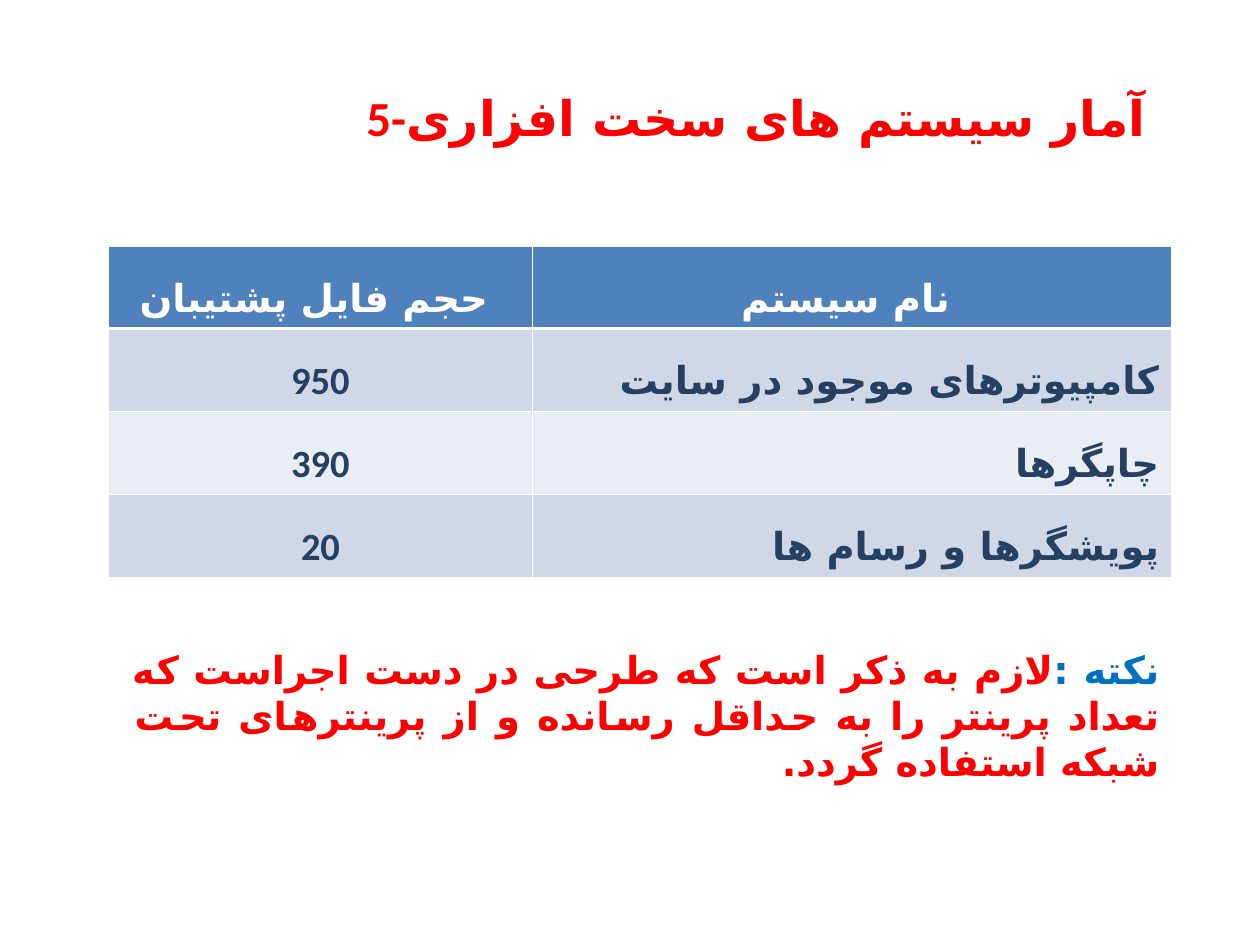
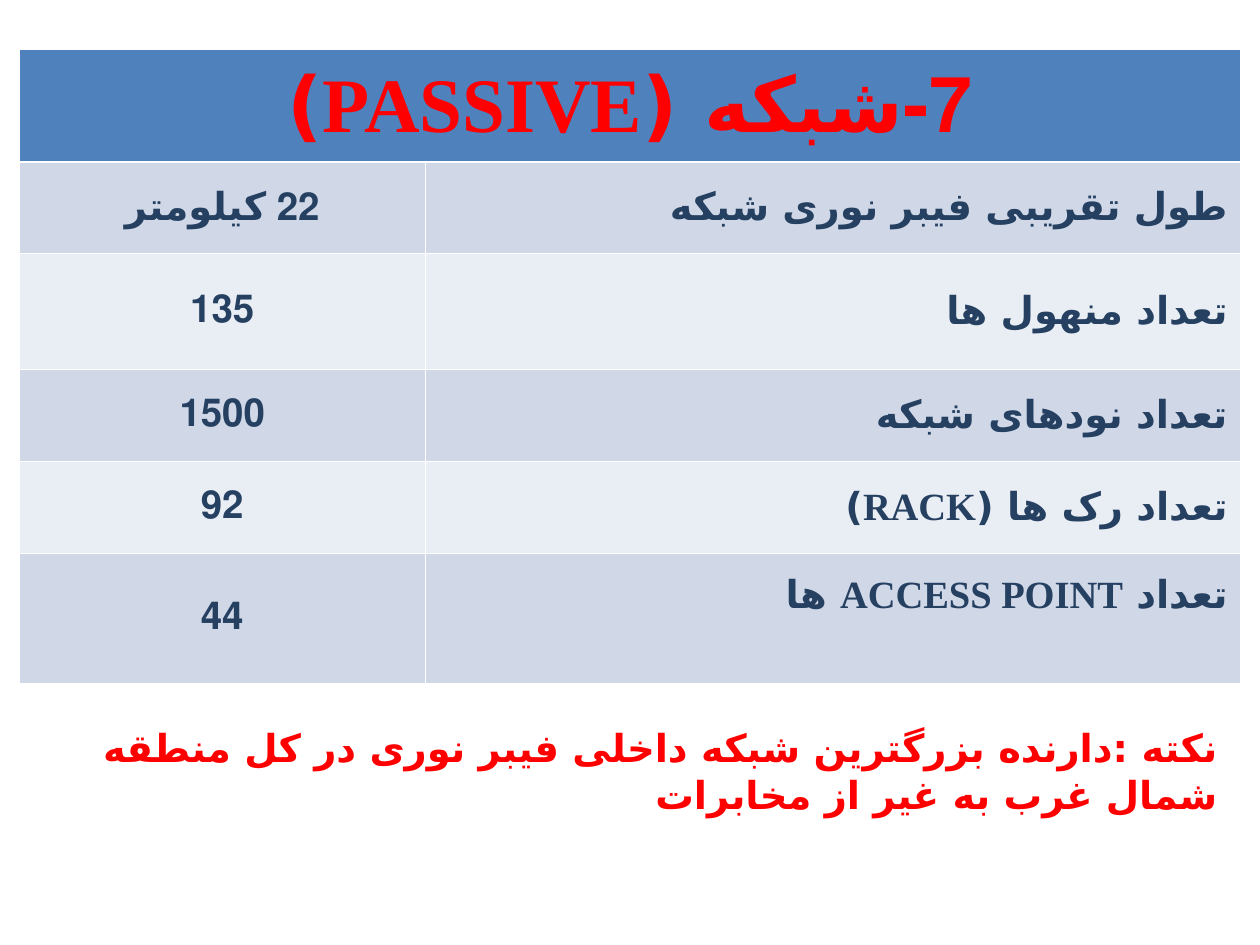
from dataclasses import dataclass

from lxml import etree
from pptx import Presentation
from pptx import util as u
from pptx.dml.color import RGBColor
from pptx.enum import lang, text
from pptx.oxml import ns

RED = RGBColor(0xFF, 0x00, 0x00)
BLUE = RGBColor(0x00, 0x70, 0xC0)
NAVY = RGBColor(0x25, 0x40, 0x61)
WHITE = RGBColor(0xFF, 0xFF, 0xFF)
HEADER_FILL = RGBColor(0x4F, 0x81, 0xBD)
BAND_FILLS = (RGBColor(0xD0, 0xD8, 0xE8), RGBColor(0xE9, 0xED, 0xF4))

BODY_FONT = "Calibri"
LATIN_FONT = "Times New Roman"
PERSIAN_FONT = "DejaVu Sans"
BODY_SIZE = 22
THIN, THICK = u.Pt(0.45), u.Pt(1.47)

CENTER = text.PP_ALIGN.CENTER
RIGHT = text.PP_ALIGN.RIGHT
JUSTIFY = text.PP_ALIGN.JUSTIFY


@dataclass(frozen=True)
class Run:
    text: str
    color: RGBColor | None = None
    font: str = BODY_FONT


@dataclass(frozen=True)
class Box:
    left: float
    top: float
    width: float
    height: float


@dataclass(frozen=True)
class StatTable:
    """Sizes are in centimetres; each body row is (value, label)."""
    left: float
    top: float
    col_widths: tuple
    row_heights: tuple
    header: tuple
    body: tuple
    header_color: RGBColor = WHITE
    header_size: float = BODY_SIZE
    header_rtl: bool = False
    value_rtl: bool = False
    line_spacing: float = 1.0


def set_persian(r) -> None:
    """Mark a run as Persian and name the font for its script."""
    r.font.language_id = lang.MSO_LANGUAGE_ID.FARSI
    etree.SubElement(r._r.get_or_add_rPr(), ns.qn("a:cs"), typeface=PERSIAN_FONT)


def write(tf, runs, *, size=BODY_SIZE, color=RED, align=CENTER, rtl=False,
          line_spacing=None):
    """Fill the first paragraph with a string or a tuple of runs."""
    p = tf.paragraphs[0]
    p.alignment = align
    if line_spacing:
        p.line_spacing = line_spacing
    if rtl:
        p._p.get_or_add_pPr().set("rtl", "1")
    for item in (Run(runs),) if isinstance(runs, str) else runs:
        r = p.add_run()
        r.text = item.text
        r.font.name = item.font
        r.font.size = u.Pt(size)
        r.font.bold = True
        r.font.color.rgb = item.color or color
        if any("آ" <= ch <= "ی" for ch in item.text):
            set_persian(r)


def add_text(s, box: Box, runs, *, anchor=text.MSO_ANCHOR.TOP, **fmt):
    sp = s.shapes.add_textbox(u.Cm(box.left), u.Cm(box.top),
                              u.Cm(box.width), u.Cm(box.height))
    tf = sp.text_frame
    tf.word_wrap = True
    tf.vertical_anchor = anchor
    write(tf, runs, **fmt)
    return sp


def set_borders(cell, row: int) -> None:
    """Thin white lines, with a thicker one under the header row."""
    widths = {"lnL": THIN, "lnR": THIN,
              "lnT": THICK if row == 1 else THIN,
              "lnB": THICK if row == 0 else THIN}
    tc_pr = cell._tc.get_or_add_tcPr()
    for tag, width in widths.items():
        ln = etree.SubElement(tc_pr, ns.qn(f"a:{tag}"), w=str(int(width)))
        fill = etree.SubElement(ln, ns.qn("a:solidFill"))
        etree.SubElement(fill, ns.qn("a:srgbClr"), val=str(WHITE))


def add_stat_table(s, spec: StatTable):
    rows, cols = len(spec.row_heights), len(spec.col_widths)
    frame = s.shapes.add_table(
        rows, cols, u.Cm(spec.left), u.Cm(spec.top),
        u.Cm(sum(spec.col_widths)), u.Cm(sum(spec.row_heights)))
    table = frame.table
    for column, width in zip(table.columns, spec.col_widths):
        column.width = u.Cm(width)
    for i, height in enumerate(spec.row_heights):
        table.rows[i].height = u.Cm(height)
        for j in range(cols):
            cell = table.cell(i, j)
            set_borders(cell, i)
            cell.fill.solid()
            cell.fill.fore_color.rgb = BAND_FILLS[(i - 1) % 2] if i else HEADER_FILL
            cell.vertical_anchor = text.MSO_ANCHOR.MIDDLE

    for j, runs in enumerate(spec.header):
        write(table.cell(0, j).text_frame, runs, size=spec.header_size,
              color=spec.header_color, rtl=spec.header_rtl,
              line_spacing=spec.line_spacing)
    if len(spec.header) < cols:
        table.cell(0, 0).merge(table.cell(0, cols - 1))

    for i, (value, label) in enumerate(spec.body, start=1):
        write(table.cell(i, 0).text_frame, value, color=NAVY,
              rtl=spec.value_rtl, line_spacing=spec.line_spacing)
        write(table.cell(i, 1).text_frame, label, color=NAVY, align=RIGHT,
              rtl=True, line_spacing=spec.line_spacing)
    return table


HARDWARE = StatTable(
    left=2.18, top=4.97, col_widths=(8.56, 12.88),
    row_heights=(1.65,) + (1.67,) * 3,
    header=("حجم فایل پشتیبان ", "نام سیستم "),
    body=(("950", "کامپیوترهای موجود در سایت"),
          ("390", "چاپگرها"),
          ("20", "پویشگرها و رسام ها")),
    line_spacing=1.5)

PASSIVE_NETWORK = StatTable(
    left=0.39, top=0.99, col_widths=(8.18, 16.43),
    row_heights=(2.27, 1.85, 2.34, 1.85, 1.85, 2.62),
    header=((Run("7-"), Run("شبکه "), Run("(PASSIVE)", font=LATIN_FONT)),),
    body=(((Run("22 "), Run("کیلومتر")), "طول تقریبی فیبر نوری شبکه"),
          ("135", "تعداد منهول ها"),
          ("1500", "تعداد نودهای شبکه"),
          ("92", (Run("تعداد رک ها "), Run("(RACK)", font=LATIN_FONT))),
          ("44", (Run("تعداد "), Run("ACCESS POINT ", font=LATIN_FONT),
                  Run("ها")))),
    header_color=RED, header_size=44, header_rtl=True, value_rtl=True)


def build_hardware_slide(s) -> None:
    add_text(s, Box(6.35, 0.76, 17.78, 3.18),
             (Run("5-"), Run("آمار سیستم های سخت افزاری")),
             size=28, anchor=text.MSO_ANCHOR.MIDDLE)
    add_stat_table(s, HARDWARE)
    note = (Run("نکته ", BLUE), Run(":", BLUE),
            Run("لازم به ذکر است که طرحی در دست اجراست که تعداد پرینتر را به "
                "حداقل رسانده و از پرینترهای تحت شبکه استفاده گردد."))
    add_text(s, Box(2.39, 12.9, 21.23, 3.05), note, align=JUSTIFY, rtl=True)


def build_network_slide(s) -> None:
    table = add_stat_table(s, PASSIVE_NETWORK)
    # The last label sits above the middle of its tall row.
    table.cell(5, 1).margin_bottom = u.Cm(1.07)
    note = (Run("نکته "), Run(":"),
            Run("دارنده بزرگترین شبکه داخلی فیبر نوری در کل منطقه "
                "شمال غرب به غیر از مخابرات"))
    add_text(s, Box(0.58, 14.48, 24.21, 2.13), note, align=RIGHT, rtl=True)


def main() -> None:
    prs = Presentation()
    prs.slide_width, prs.slide_height = u.Cm(25.4), u.Cm(19.05)
    blank = prs.slide_layouts[6]
    for build in (build_hardware_slide, build_network_slide):
        build(prs.slides.add_slide(blank))
    prs.save("out.pptx")


if __name__ == "__main__":
    main()
